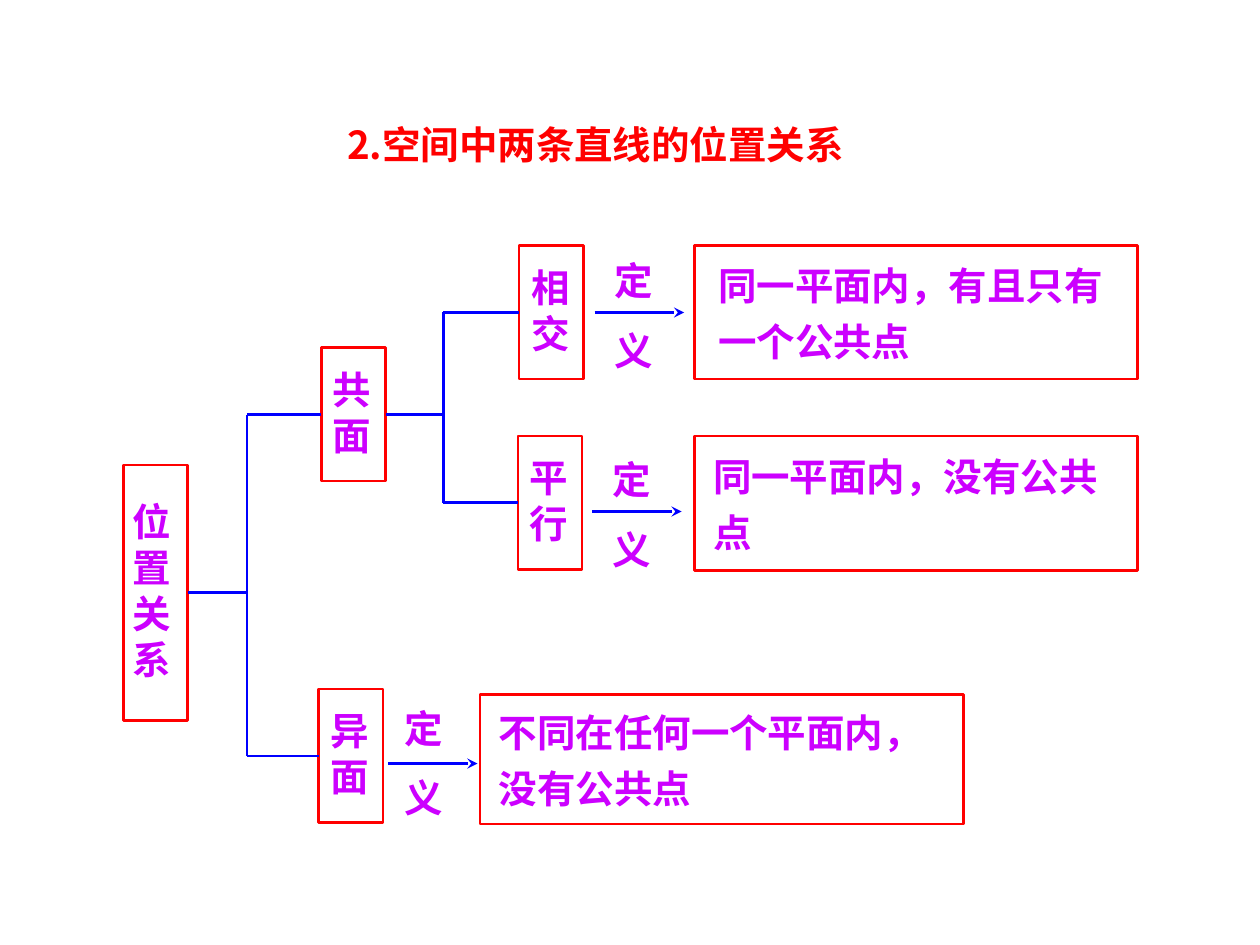
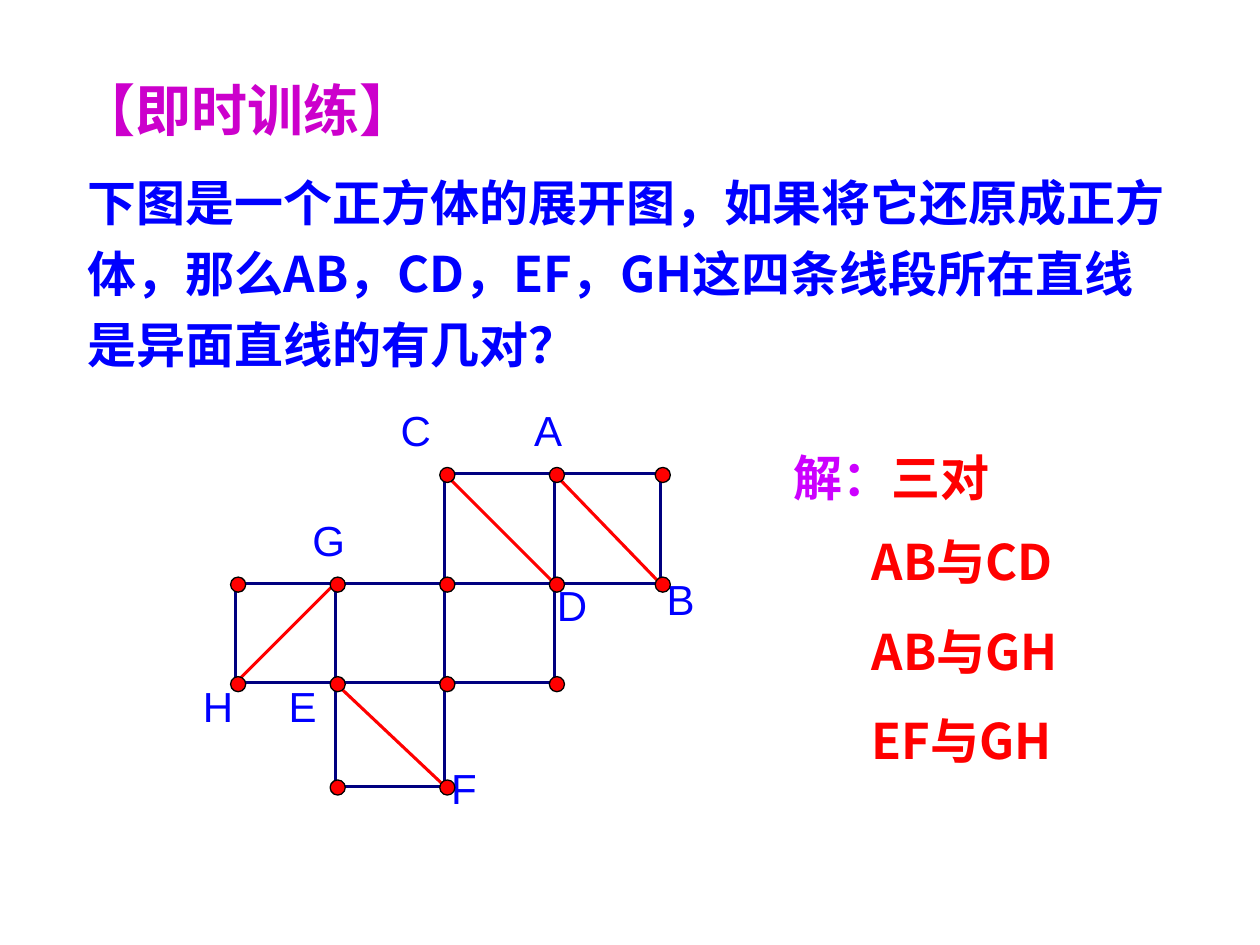
from lxml import etree
from pptx import Presentation
from pptx.dml.color import RGBColor
from pptx.enum.shapes import MSO_CONNECTOR, MSO_SHAPE
from pptx.enum.text import MSO_ANCHOR, MSO_AUTO_SIZE, PP_ALIGN
from pptx.oxml.ns import qn
from pptx.util import Inches, Pt

RED = RGBColor(0xFF, 0x00, 0x00)
BLUE = RGBColor(0x00, 0x00, 0xFF)
NAVY = RGBColor(0x00, 0x00, 0x80)
VIOLET = RGBColor(0xCC, 0x00, 0xFF)
MAGENTA = RGBColor(0xCC, 0x00, 0xCC)
BLACK = RGBColor(0x00, 0x00, 0x00)
HAN_FONT = "Noto Sans CJK SC"
LATIN_FONT = "Arial"


def write(shape, paragraphs, size, color, font=HAN_FONT, bold=True, align=PP_ALIGN.LEFT,
          spacing=1.0, gap=0, insets=(0.1, 0.05, 0.1, 0.05), anchor=MSO_ANCHOR.TOP, wrap=True):
    """Fill a shape; each paragraph is a string or a list of (text, color) runs."""
    frame = shape.text_frame
    left, top, right, bottom = map(Inches, insets)
    frame_format = dict(margin_left=left, margin_top=top, margin_right=right, margin_bottom=bottom,
                        vertical_anchor=anchor, word_wrap=wrap, auto_size=MSO_AUTO_SIZE.NONE)
    for name, value in frame_format.items():
        setattr(frame, name, value)
    for index, content in enumerate(paragraphs):
        paragraph = frame.add_paragraph() if index else frame.paragraphs[0]
        paragraph_format = dict(alignment=align, line_spacing=spacing,
                                space_before=Pt(gap if index else 0))
        for name, value in paragraph_format.items():
            setattr(paragraph, name, value)
        for text, run_color in [(content, color)] if isinstance(content, str) else content:
            run = paragraph.add_run()
            run.text = text
            for name, value in dict(name=font, size=Pt(size), bold=bold).items():
                setattr(run.font, name, value)
            run.font.color.rgb = run_color
            etree.SubElement(run.font._element, qn("a:ea"), typeface=HAN_FONT)


def add_line(slide, start, end, color, width, arrow=False):
    line = slide.shapes.add_connector(MSO_CONNECTOR.STRAIGHT, *map(Inches, (*start, *end)))
    line.line.color.rgb = color
    line.line.width = Pt(width)
    if arrow:
        etree.SubElement(line.line._get_or_add_ln(), qn("a:tailEnd"), type="stealth")
    etree.SubElement(line._element.spPr, qn("a:effectLst"))
    return line


prs = Presentation()
prs.slide_width, prs.slide_height = Inches(10), Inches(7.5)

# Both slides with their titles
titles = [
    ("2.空间中两条直线的位置关系", (1.13, 0.91, 7.19, 0.47), 22, RED, HAN_FONT, PP_ALIGN.CENTER),
    ("【即时训练】", (0.53, 0.55, 3.31, 0.64), 32, MAGENTA, LATIN_FONT, PP_ALIGN.LEFT),
]
slides = []
for text, place, size, color, font, align in titles:
    slide = prs.slides.add_slide(prs.slide_layouts[5])
    title = slide.shapes.title
    title.left, title.top, title.width, title.height = map(Inches, place)
    write(title, [text], size, color, font, align=align)
    slides.append(slide)
relations, exercise = slides

# Slide 1: framed terms (one character a line) and their definitions
DEFINITION = dict(spacing=1.2)
framed = {
    "位置关系": ((0.98, 3.69, 0.51, 2.03), 0.07),
    "共面": ((2.55, 2.76, 0.51, 1.06), 0.09),
    "异面": ((2.53, 5.47, 0.51, 1.06), 0.09),
    "相交": ((4.12, 1.95, 0.51, 1.06), 0.1),
    "平行": ((4.11, 3.46, 0.51, 1.06), 0.09),
    "同一平面内，有且只有一个公共点": ((5.51, 1.95, 3.52, 1.06), 0.19),
    "同一平面内，没有公共点": ((5.51, 3.46, 3.52, 1.07), 0.15),
    "不同在任何一个平面内，没有公共点": ((3.81, 5.51, 3.84, 1.03), 0.15),
}
boxes = {}
for text, (place, indent) in framed.items():
    box = relations.shapes.add_shape(MSO_SHAPE.RECTANGLE, *map(Inches, place))
    box.shadow.inherit = False
    box.fill.background()
    box.line.color.rgb = RED
    box.line.width = Pt(1.5)
    is_term = len(text) <= 4
    write(box, list(text) if is_term else [text], 22, VIOLET,
          insets=(indent, 0.02, 0.04, 0.06) if is_term else (indent, 0.04, 0.2, 0.1),
          anchor=MSO_ANCHOR.MIDDLE, **({} if is_term else DEFINITION))
    boxes[text] = box

# Branches: parent, x of the trunk, children
for parent, trunk_x, children in [("位置关系", 1.96, ("共面", "异面")),
                                  ("共面", 3.52, ("相交", "平行"))]:
    left, top, width, height = framed[parent][0]
    stem_y = top + height / 2
    stem = add_line(relations, (left + width, stem_y), (trunk_x, stem_y), BLUE, 1.5)
    stem.begin_connect(boxes[parent], 3)
    child_ys = []
    for child in children:
        left, top, width, height = framed[child][0]
        child_y = top + height / 2
        twig = add_line(relations, (trunk_x, child_y), (left, child_y), BLUE, 1.5)
        twig.end_connect(boxes[child], 1)
        child_ys.append(child_y)
    add_line(relations, (trunk_x, child_ys[0]), (trunk_x, child_ys[1]), BLUE, 1.5)

# Arrows labelled 定义
for x, y, label_x, label_y in [(4.72, 2.48, 4.78, 1.81), (4.7, 4.06, 4.76, 3.39),
                               (3.08, 6.06, 3.11, 5.36)]:
    add_line(relations, (x, y), (x + 0.71, y), BLUE, 1.5, arrow=True)
    label = relations.shapes.add_textbox(*map(Inches, (label_x, label_y, 0.84, 1.2)))
    write(label, "定义", 22, VIOLET, spacing=1.5)

# Slide 2: question and answer
question = exercise.shapes.add_textbox(*map(Inches, (0.6, 1.23, 8.76, 1.78)))
write(question, ["下图是一个正方体的展开图，如果将它还原成正方体，那么AB，CD，EF，GH"
                 "这四条线段所在直线是异面直线的有几对？"], 28, BLUE, spacing=1.2)
answer = exercise.shapes.add_textbox(*map(Inches, (6.2, 3.5, 2.17, 0.57)))
write(answer, [[("解：", VIOLET), ("三对", RED)]], 28, RED)
pairs = exercise.shapes.add_textbox(*map(Inches, (6.82, 4.17, 2.83, 1.99)))
write(pairs, ["AB与CD", "AB与GH", "EF与GH"], 28, RED, gap=17.5)

# Unfolded cube: six cells on a grid, given by column and row
column_x = [1.87, 2.66, 3.53, 4.4, 5.24]
row_y = [3.76, 4.63, 5.42, 6.24]
cells = [(2, 0), (3, 0), (0, 1), (1, 1), (2, 1), (1, 2)]
edges = set()
for col, row in cells:
    for step in (0, 1):
        edges.add(((col, row + step), (col + 1, row + step)))
        edges.add(((col + step, row), (col + step, row + 1)))
diagonals = [((1, 1), (0, 2)), ((1, 2), (2, 3)), ((2, 0), (3, 1)), ((3, 0), (4, 1))]
for segments, color in [(sorted(edges), NAVY), (diagonals, RED)]:
    for segment in segments:
        start, end = [(column_x[col], row_y[row]) for col, row in segment]
        add_line(exercise, start, end, color, 1.75)

# Vertex letters
for letter, x, y in [("H", 1.61, 5.4), ("G", 2.48, 4.08), ("F", 3.58, 6.05), ("E", 2.29, 5.4),
                     ("D", 4.42, 4.6), ("C", 3.18, 3.21), ("B", 5.29, 4.55), ("A", 4.24, 3.21)]:
    label = exercise.shapes.add_textbox(*map(Inches, (x, y, 0.24, 0.4)))
    write(label, [letter], 24, BLUE, LATIN_FONT, bold=False, insets=(0, 0, 0, 0), wrap=False)

# Vertex dots
for col, row in sorted({vertex for edge in edges for vertex in edge}):
    dot = exercise.shapes.add_shape(
        MSO_SHAPE.OVAL, *map(Inches, (column_x[col] - 0.04, row_y[row] - 0.05, 0.12, 0.12)))
    dot.shadow.inherit = False
    dot.fill.solid()
    dot.fill.fore_color.rgb = RED
    dot.line.color.rgb = BLACK
    dot.line.width = Pt(0)

prs.save("out.pptx")
